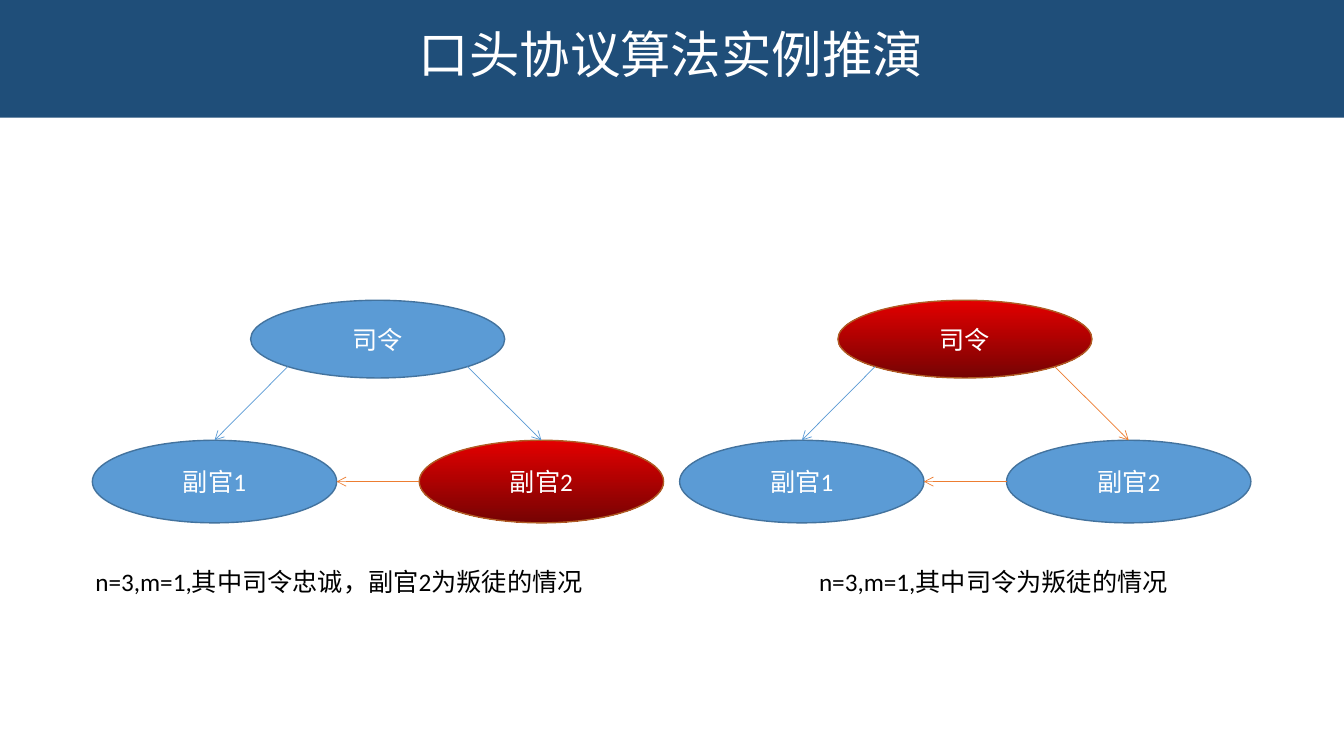
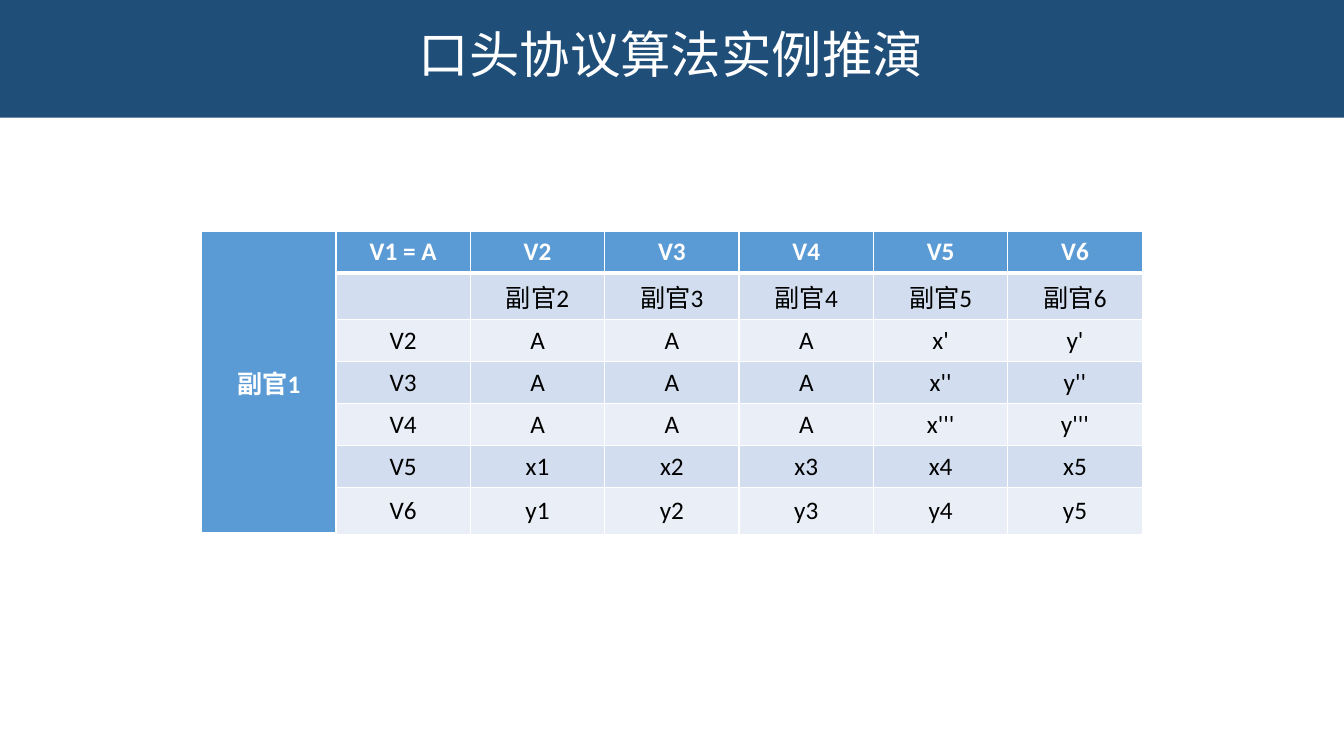
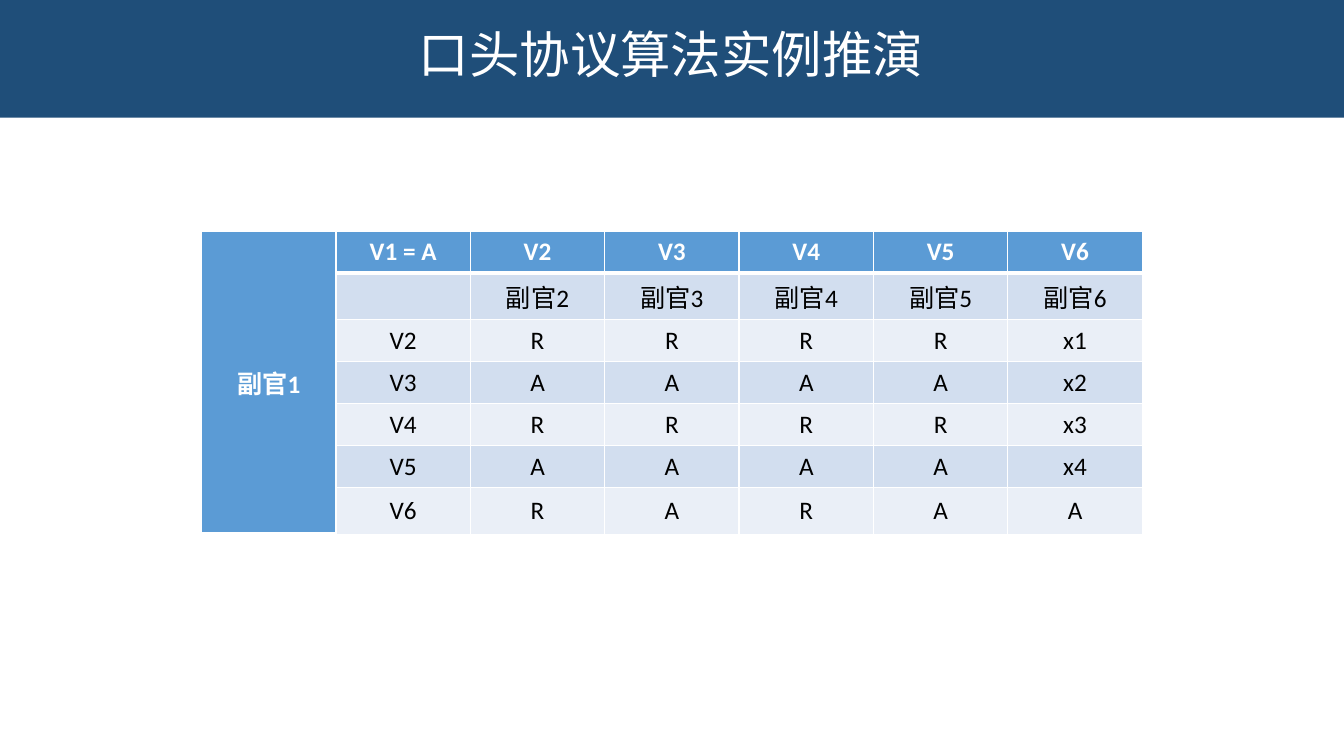
from dataclasses import dataclass
from math import sqrt

from lxml.etree import SubElement
from pptx import Presentation
from pptx.dml.color import RGBColor
from pptx.enum.shapes import MSO_CONNECTOR, MSO_SHAPE
from pptx.enum.text import MSO_ANCHOR, MSO_AUTO_SIZE, PP_ALIGN
from pptx.oxml.ns import qn
from pptx.util import Pt


@dataclass(frozen=True)
class Theme:
    band: str = "1F4E79"
    blue: str = "5B9BD5"
    edge: str = "43739E"
    red: tuple = ("E30000", "760303")
    rust: str = "AF5C24"
    orange: str = "ED7D31"
    rows: tuple = ("EAEFF7", "D2DEEF")
    white: str = "FFFFFF"
    black: str = "000000"
    font: str = "Calibri"
    cjk: str = "Noto Sans CJK SC"
    head: int = 36
    body: int = 18


T = Theme()
TITLE = "口头协议算法实例推演"


def rgb(code):
    return RGBColor.from_string(code)


def write(frame, text, color, size=T.body, font=T.font, bold=False,
          align=PP_ALIGN.CENTER):
    """Fill a text frame with one styled paragraph."""
    frame.word_wrap = True
    para = frame.paragraphs[0]
    para.text = text
    para.alignment = align
    face = para.font
    face.name, face.size, face.bold = font, Pt(size), bold
    face.color.rgb = rgb(color)
    # East Asian typeface
    SubElement(para._p.pPr.find(qn("a:defRPr")), qn("a:ea"), typeface=T.cjk)
    return para


def new_slide(deck):
    """Add a slide with the title band."""
    slide = deck.slides.add_slide(deck.slide_layouts[6])
    band = slide.shapes.add_shape(MSO_SHAPE.RECTANGLE, Pt(-1.5), Pt(-2),
                                  Pt(961.5), Pt(86))
    band.shadow.inherit = False
    band.fill.solid()
    band.fill.fore_color.rgb = rgb(T.band)
    band.line.fill.background()
    band.text_frame.vertical_anchor = MSO_ANCHOR.MIDDLE
    write(band.text_frame, TITLE, T.white, T.head, T.cjk).line_spacing = 0.9
    return slide


def node(slide, text, left, top, width, height, traitor):
    """Draw a general; traitors are red."""
    oval = slide.shapes.add_shape(MSO_SHAPE.OVAL, Pt(left), Pt(top),
                                  Pt(width), Pt(height))
    oval.shadow.inherit = False
    if traitor:
        oval.fill.gradient()
        oval.fill.gradient_angle = 270
        for stop, code in zip(oval.fill.gradient_stops, T.red):
            stop.color.rgb = rgb(code)
    else:
        oval.fill.solid()
        oval.fill.fore_color.rgb = rgb(T.blue)
    oval.line.color.rgb = rgb(T.rust if traitor else T.edge)
    oval.line.width = Pt(1)
    oval.text_frame.vertical_anchor = MSO_ANCHOR.MIDDLE
    write(oval.text_frame, text, T.white)
    return oval


def arrow(slide, start, end, color):
    """Draw a thin arrow between two points."""
    line = slide.shapes.add_connector(MSO_CONNECTOR.STRAIGHT, *start, *end)
    line.line.color.rgb = rgb(color)
    line.line.width = Pt(0.5)
    SubElement(line.line._get_or_add_ln(), qn("a:tailEnd"), type="arrow")
    SubElement(line._element.spPr, qn("a:effectLst"))
    return line


def rim(oval, side):
    """Point on the lower left (-1) or lower right (1) diagonal."""
    reach = (1 + 1 / sqrt(2)) / 2
    part = reach if side > 0 else 1 - reach
    return (int(oval.left + oval.width * part),
            int(oval.top + oval.height * reach))


def panel(slide, left, traitor, tint):
    """Draw a commander with two deputies and their messages."""
    chief = node(slide, "司令", left + 113, 214.5, 181.5, 55.5,
                 traitor == "司令")
    aides = [node(slide, name, left + i * 233.5, 314.5, 174.5, 59,
                  traitor == name)
             for i, name in enumerate(("副官1", "副官2"))]
    for aide, side, color in zip(aides, (-1, 1), (T.blue, tint)):
        top = (aide.left + aide.width // 2, aide.top)
        arrow(slide, rim(chief, side), top, color).end_connect(aide, 0)
    first, second = aides
    mid = first.top + first.height // 2
    arrow(slide, (second.left, mid), (first.left + first.width, mid), T.orange)


def caption(slide, text, left, align):
    box = slide.shapes.add_textbox(Pt(left), Pt(401), Pt(419), Pt(29))
    write(box.text_frame, text, T.black, align=align)
    box.text_frame.auto_size = MSO_AUTO_SIZE.SHAPE_TO_FIT_TEXT


def border(cell, base):
    """Give a cell white borders, with its own bottom width."""
    props = cell._tc.get_or_add_tcPr()
    for side, width in zip("LRTB", (1, 1, 1, base)):
        line = SubElement(props, qn("a:ln" + side), w=str(Pt(width)))
        fill = SubElement(line, qn("a:solidFill"))
        SubElement(fill, qn("a:srgbClr"), val=T.white)


def grid(slide, votes):
    """Draw the table of values that deputy 1 receives."""
    names = [f"V{i}" for i in range(2, 7)]
    rows = [["副官1", "V1 = A", *names],
            ["", "", *(f"副官{i}" for i in range(2, 7))]]
    rows += [["", name, *vote.split()] for name, vote in zip(names, votes)]
    count = len(rows)
    table = slide.shapes.add_table(count, count, Pt(144), Pt(165),
                                   Pt(96 * count), Pt(30 * count)).table
    table.first_row = table.horz_banding = False
    table.cell(0, 0).merge(table.cell(count - 1, 0))
    for r, row in enumerate(rows):
        for c, text in enumerate(row):
            cell = table.cell(r, c)
            head = r == 0 or c == 0
            border(cell, 3 if r == 0 else 1)
            cell.fill.solid()
            cell.fill.fore_color.rgb = rgb(T.blue if head else T.rows[r % 2])
            cell.vertical_anchor = MSO_ANCHOR.MIDDLE
            write(cell.text_frame, text, T.white if head else T.black,
                  bold=head)


def main():
    deck = Presentation()
    deck.slide_width, deck.slide_height = Pt(960), Pt(540)

    # Two cases with three generals
    slide = new_slide(deck)
    panel(slide, 66, "副官2", T.blue)
    panel(slide, 485.5, "司令", T.orange)
    caption(slide, "n=3,m=1,其中司令忠诚，副官2为叛徒的情况", 61, PP_ALIGN.LEFT)
    caption(slide, "n=3,m=1,其中司令为叛徒的情况", 500, PP_ALIGN.CENTER)

    # Loyal commander, then traitor commander
    for votes in (
        ("A A A x' y'", "A A A x'' y''", "A A A x''' y'''",
         "x1 x2 x3 x4 x5", "y1 y2 y3 y4 y5"),
        ("R R R R x1", "A A A A x2", "R R R R x3", "A A A A x4",
         "R A R A A"),
    ):
        grid(new_slide(deck), votes)

    deck.save("out.pptx")


if __name__ == "__main__":
    main()
